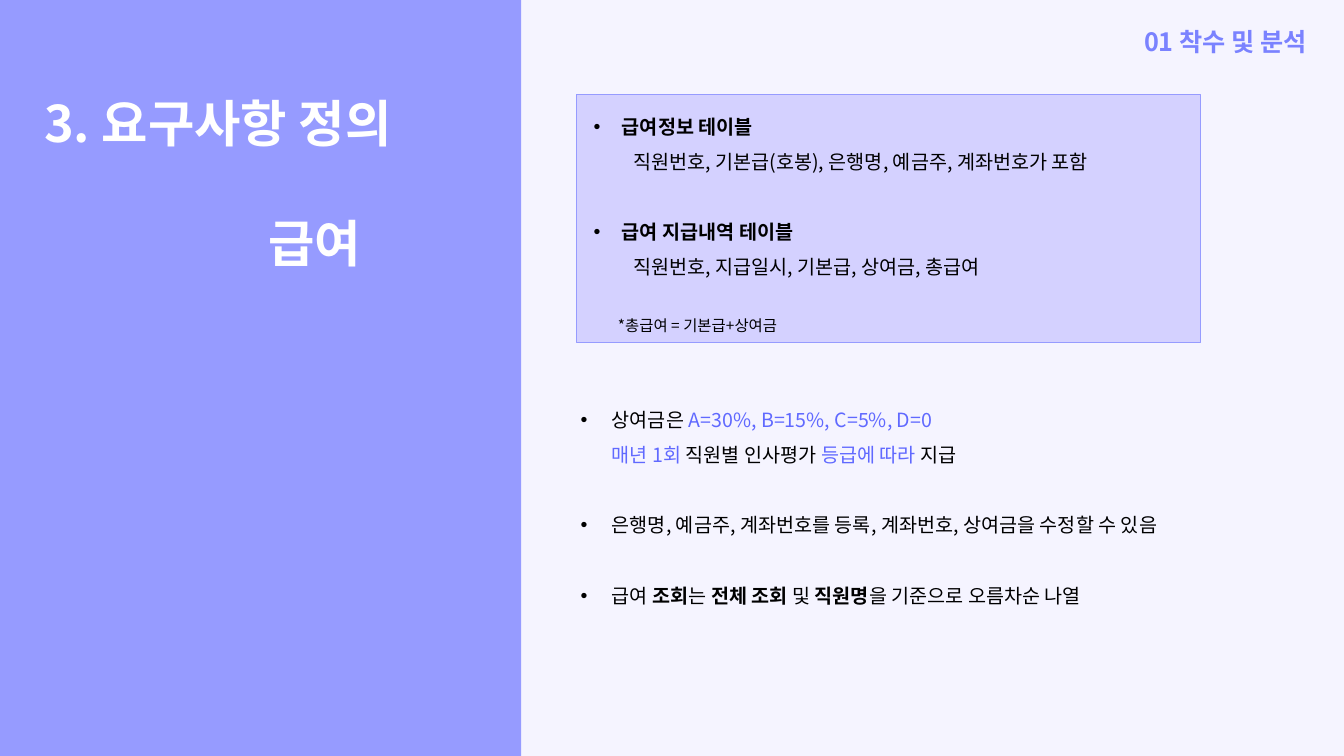
from dataclasses import dataclass

from lxml import etree
from pptx import Presentation
from pptx.dml.color import RGBColor
from pptx.enum.shapes import MSO_SHAPE
from pptx.enum.text import MSO_ANCHOR, PP_ALIGN
from pptx.oxml.ns import qn
from pptx.util import Inches, Pt

RECT = MSO_SHAPE.RECTANGLE
TOP, MIDDLE = MSO_ANCHOR.TOP, MSO_ANCHOR.MIDDLE
LEFT, RIGHT = PP_ALIGN.LEFT, PP_ALIGN.RIGHT
PAPER = RGBColor(0xF5, 0xF4, 0xFF)
PANEL = RGBColor(0x96, 0x9B, 0xFF)
CARD = RGBColor(0xD4, 0xD1, 0xFF)
HEAD = RGBColor(0x7A, 0x82, 0xFF)
ACCENT = RGBColor(0x60, 0x69, 0xFF)
BLACK = RGBColor(0, 0, 0)
WHITE = RGBColor(255, 255, 255)
FONT = "Noto Sans CJK KR"


@dataclass
class Run:
    text: str
    bold: bool = False
    color: RGBColor = BLACK
    size: float = 14


@dataclass
class Para:
    runs: list[Run]
    left: float = 0.31
    hang: float = 0
    before: float = 0
    lines: float = 1.5
    align: PP_ALIGN = LEFT


@dataclass
class Box:
    x: float
    y: float
    w: float
    h: float
    paras: list[Para]


def add_run(par, run: Run) -> None:
    item = par.add_run()
    item.text = run.text
    style = {"name": FONT, "size": Pt(run.size), "bold": run.bold}
    for key, value in style.items():
        setattr(item.font, key, value)
    item.font.color.rgb = run.color
    east = etree.SubElement(item.font._element, qn("a:ea"))
    east.set("typeface", FONT)


def write(frame, paras: list[Para], anchor: MSO_ANCHOR) -> None:
    frame.word_wrap = True
    frame.vertical_anchor = anchor
    for i, para in enumerate(paras):
        par = frame.add_paragraph() if i else frame.paragraphs[0]
        props = par._p.get_or_add_pPr()
        props.set("marL", str(Inches(para.left)))
        props.set("indent", str(-Inches(para.hang)))
        if para.hang:
            etree.SubElement(props, qn("a:buFont")).set("typeface", "Arial")
            etree.SubElement(props, qn("a:buChar")).set("char", "•")
        style = {"alignment": para.align, "line_spacing": para.lines}
        if para.before:
            style["space_before"] = Pt(para.before)
        for key, value in style.items():
            setattr(par, key, value)
        for run in para.runs:
            add_run(par, run)


def add_rect(slide, box: Box, fill: RGBColor, line: RGBColor | None = None) -> None:
    shape = slide.shapes.add_shape(RECT, *map(Inches, (box.x, box.y, box.w, box.h)))
    shape.shadow.inherit = False
    shape.fill.solid()
    shape.fill.fore_color.rgb = fill
    if line is None:
        shape.line.fill.background()
    else:
        shape.line.color.rgb = line
        shape.line.width = Pt(0.75)
    if box.paras:
        write(shape.text_frame, box.paras, MIDDLE)


def add_text(slide, box: Box) -> None:
    shape = slide.shapes.add_textbox(*map(Inches, (box.x, box.y, box.w, box.h)))
    write(shape.text_frame, box.paras, TOP)


def table_note(name: str, fields: str, before: float = 0) -> list[Para]:
    return [
        Para([Run(name, True)], 0.35, 0.28, before),
        Para([Run(fields)], 0.46),
    ]


TABLES = Box(5.72, 0.94, 6.19, 2.46, [
    *table_note("급여정보 테이블", "직원번호, 기본급(호봉), 은행명, 예금주, 계좌번호가 포함"),
    *table_note("급여 지급내역 테이블", "직원번호, 지급일시, 기본급, 상여금, 총급여", 25),
    Para([Run("*총급여 = 기본급+상여금", size=11)], before=20),
])

TEXTS = [
    Box(10.06, 0.21, 3, 0.4, [
        Para([Run("01 착수 및 분석", True, HEAD, 18)], 0, lines=1, align=RIGHT),
    ]),
    Box(0.34, 0.86, 6.2, 1.92, [
        Para([Run("3. 요구사항 정의", True, WHITE, 36)], 0, lines=1),
        Para([Run("급여", True, WHITE, 36)], 2.22, before=43, lines=1),
    ]),
    Box(5.66, 3.88, 7.09, 2.18, [
        Para([Run("상여금은 "), Run("A=30%, B=15%, C=5%, D=0", color=ACCENT)], hang=0.31),
        Para([
            Run("매년 1회 ", color=ACCENT),
            Run("직원별 인사평가 "),
            Run("등급에 따라 ", color=ACCENT),
            Run("지급"),
        ]),
        Para([Run("은행명, 예금주, 계좌번호를 등록, 계좌번호, 상여금을 수정할 수 있음")],
             hang=0.31, before=25),
        Para([
            Run("급여 "),
            Run("조회", True),
            Run("는 "),
            Run("전체 조회 ", True),
            Run("및 "),
            Run("직원명", True),
            Run("을 기준으로 오름차순 나열"),
        ], hang=0.31, before=25),
    ]),
]


def main() -> None:
    deck = Presentation()
    deck.slide_width, deck.slide_height = Inches(13.33), Inches(7.5)
    slide = deck.slides.add_slide(deck.slide_layouts[6])
    slide.background.fill.solid()
    slide.background.fill.fore_color.rgb = PAPER
    add_rect(slide, Box(0, 0, 5.17, 7.5, []), PANEL)
    add_rect(slide, TABLES, CARD, PANEL)
    for box in TEXTS:
        add_text(slide, box)
    deck.save("out.pptx")


if __name__ == "__main__":
    main()
